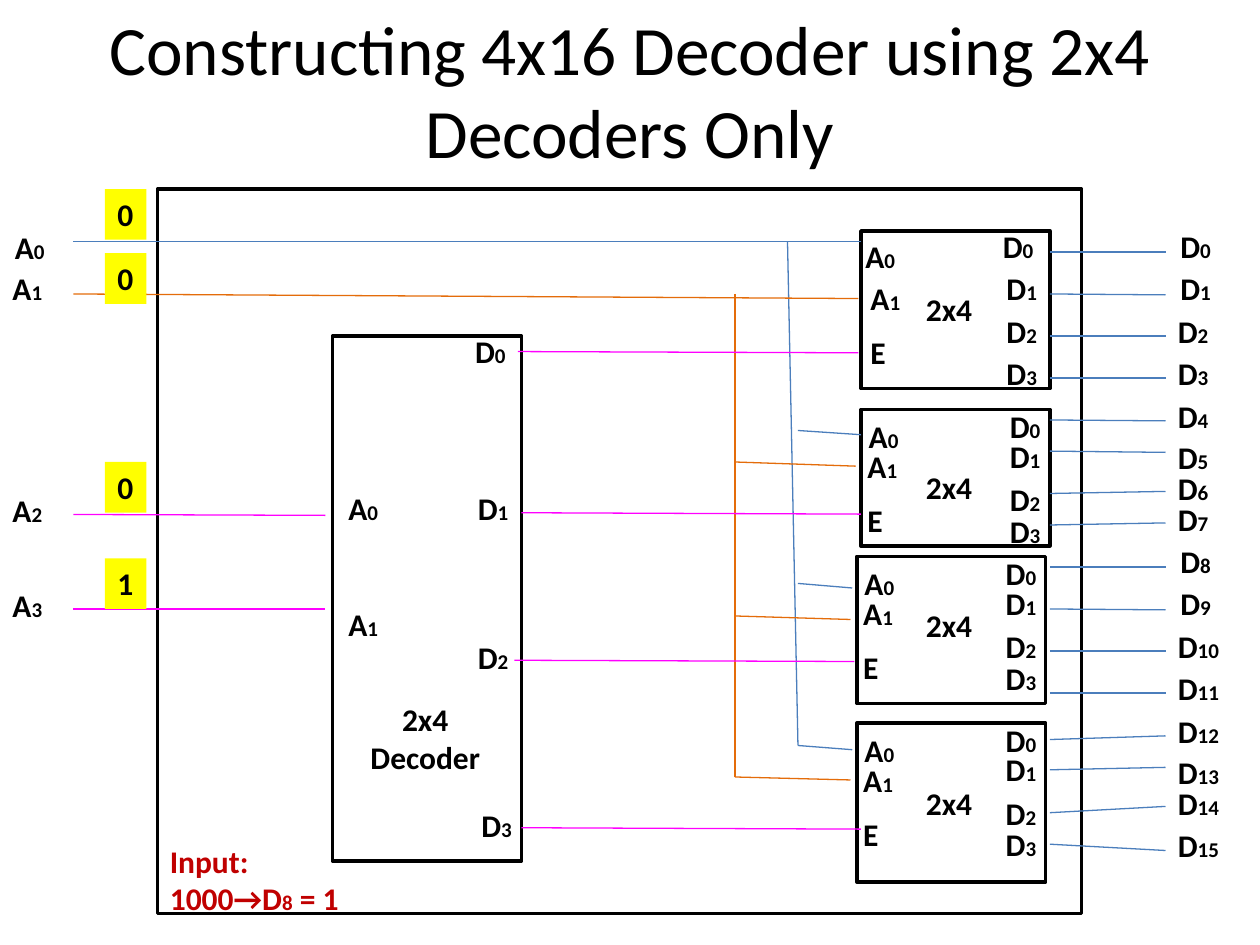
"""Build a slide showing a 4x16 decoder made of five 2x4 decoders."""
from lxml import etree
from pptx import Presentation
from pptx.dml.color import RGBColor
from pptx.enum.shapes import MSO_CONNECTOR, MSO_SHAPE
from pptx.enum.text import MSO_ANCHOR, MSO_AUTO_SIZE, PP_ALIGN
from pptx.oxml.ns import qn
from pptx.util import Pt

LEFT, CENTER = PP_ALIGN.LEFT, PP_ALIGN.CENTER
TOP, MIDDLE = MSO_ANCHOR.TOP, MSO_ANCHOR.MIDDLE
GROW, FIXED = MSO_AUTO_SIZE.SHAPE_TO_FIT_TEXT, MSO_AUTO_SIZE.NONE
RECTANGLE, STRAIGHT = MSO_SHAPE.RECTANGLE, MSO_CONNECTOR.STRAIGHT

THEME = {
    "font": "Calibri",
    "title": 39.6, "label": 18, "index": 12,
    "border": 2, "wire": 0.75,
    "ink": RGBColor(0x00, 0x00, 0x00),
    "note": RGBColor(0xC0, 0x00, 0x00),
    "bit": RGBColor(0xFF, 0xFF, 0x00),
    "low": RGBColor(0x4B, 0x7E, 0xBC),
    "middle": RGBColor(0xE4, 0x6C, 0x0A),
    "high": RGBColor(0xFF, 0x00, 0xFF),
}
LABEL_HEIGHT = 29

presentation = Presentation()
presentation.slide_width, presentation.slide_height = Pt(720), Pt(540)
slide = presentation.slides.add_slide(presentation.slide_layouts[6])
shapes = slide.shapes


def write(holder, lines, align=LEFT, color="ink", bold=True, **frame_changes):
    """Fill a shape with lines, each a list of (text, size name) pairs."""
    frame_format = {"word_wrap": False, "auto_size": GROW, "vertical_anchor": TOP}
    frame = holder.text_frame
    for attribute, value in (frame_format | frame_changes).items():
        setattr(frame, attribute, value)
    for number, line in enumerate(lines):
        paragraph = frame.add_paragraph() if number else frame.paragraphs[0]
        paragraph.alignment = align
        for text, size in line:
            run = paragraph.add_run()
            run.text = text
            font_format = {"name": THEME["font"], "size": Pt(THEME[size]), "bold": bold}
            for attribute, value in font_format.items():
                setattr(run.font, attribute, value)
            run.font.color.rgb = THEME[color]


def pin(name, left, top):
    """Place a pin name with its number set small."""
    letter, index = name[0], name[1:]
    width = 26.3 + 6.1 * len(index) if index else 23
    holder = shapes.add_textbox(Pt(left), Pt(top), Pt(width), Pt(LABEL_HEIGHT))
    parts = [(letter, "label"), (index, "index")]
    write(holder, [[part for part in parts if part[0]]])


title = shapes.add_textbox(Pt(36), Pt(6), Pt(648), Pt(90))
write(title, [[("Constructing 4x16 Decoder using 2x4 Decoders Only", "title")]],
      align=CENTER, bold=False, word_wrap=True, auto_size=FIXED, vertical_anchor=MIDDLE)

output_decoders = [
    (492, 132, 90, 30),
    (492, 234, 78, 30),
    (489.6, 318, 84, 24.7),
    (489.6, 413.3, 90.7, 30.9),
]
outlines = [(90, 108, 528, 414), (190, 192, 108, 300)]
outlines += [(left, top, 108, height) for left, top, height, _ in output_decoders]
for box in outlines:
    outline = shapes.add_shape(RECTANGLE, *map(Pt, box))
    outline.shadow.inherit = False
    outline.fill.background()
    outline.line.color.rgb = THEME["ink"]
    outline.line.width = Pt(THEME["border"])

wires = {
    "low": [
        (42, 138, 492, 138),
        (450, 138, 456, 426),
        (456, 246, 492, 248.4),
        (456, 333.4, 487, 336),
        (456, 426, 487, 428.4),
    ],
    "middle": [
        (42, 168, 490.5, 170.6),
        (420, 168, 420, 444),
        (420, 264, 489, 266.4),
        (420, 352, 486, 354),
        (420, 444, 486, 445.7),
    ],
    "high": [
        (42, 294, 186, 294.5),
        (42, 348, 186, 348),
        (296, 200.9, 490.5, 201.6),
        (298, 293, 492, 293.8),
        (294, 377.3, 488.2, 378),
        (298, 473, 492, 473.8),
    ],
}
outputs = [
    (144, 144, 126), (168, 168.5, 150), (192, 192, 175), (216, 216, 198.7),
    (240, 240.5, 223.2), (257.8, 258.5, 247), (282, 280.8, 264.2), (300, 298.8, 282.2),
    (324, 324, 306), (348, 348.5, 330), (372, 372, 355), (396, 396, 378.7),
    (422.6, 420.5, 403.2), (439.9, 438.5, 427), (464.4, 460.8, 444.2), (482.4, 486, 468.7),
]
wires["low"] += [(600, start, 666, end) for start, end, _ in outputs]
for signal, routes in wires.items():
    for route in routes:
        wire = shapes.add_connector(STRAIGHT, *map(Pt, route))
        wire.line.color.rgb = THEME[signal]
        wire.line.width = Pt(THEME["wire"])
        etree.SubElement(wire._element.spPr, qn("a:effectLst"))

for number, (_, _, label_top) in enumerate(outputs):
    pin(f"D{number}", 667.4 if number in (0, 1, 8, 9) else 666, label_top)

first_pins = {"A0": (-4.6, 0), "A1": (-1.7, 24), "E": (-1.7, 55),
              "D0": (74, -6), "D1": (76, 18), "D2": (76, 43), "D3": (76, 66.7)}
other_pins = {"A0": (-2.7, 0.8), "A1": (-3.4, 18), "E": (-3.4, 49),
              "D0": (78, -5), "D1": (78, 12), "D2": (78, 36.8), "D3": (78, 54.8)}
for number, (left, top, _, name_drop) in enumerate(output_decoders):
    for name, (across, down) in (other_pins if number else first_pins).items():
        pin(name, left + across, top + down)
    decoder_name = shapes.add_textbox(Pt(522), Pt(top + name_drop), Pt(41), Pt(LABEL_HEIGHT))
    write(decoder_name, [[("2x4", "label")]])

selector_pins = [("A0", 192, 276), ("A1", 192, 342), ("D0", 264.4, 186),
                 ("D1", 266, 276), ("D2", 266, 361), ("D3", 268, 457.2)]
input_pins = [("A0", 1.4, 126.7), ("A1", 0, 150), ("A2", 0, 277.2), ("A3", 0, 331.2)]
for name, left, top in selector_pins + input_pins:
    pin(name, left, top)

selector_name = shapes.add_textbox(Pt(204), Pt(396.7), Pt(78), Pt(51))
write(selector_name, [[("2x4", "label")], [("Decoder", "label")]], align=CENTER)

example = shapes.add_textbox(Pt(90), Pt(477.4), Pt(114), Pt(51))
write(example, [[("Input:", "label")],
                [("1000→D", "label"), ("8", "index"), (" = 1", "label")]],
      color="note", word_wrap=True)

for value, top in [("0", 108), ("0", 144.7), ("0", 264), ("1", 319)]:
    bit = shapes.add_shape(RECTANGLE, Pt(60), Pt(top), Pt(23.7), Pt(LABEL_HEIGHT))
    bit.shadow.inherit = False
    bit.fill.solid()
    bit.fill.fore_color.rgb = THEME["bit"]
    bit.line.fill.background()
    write(bit, [[(value, "label")]])

presentation.save("out.pptx")
